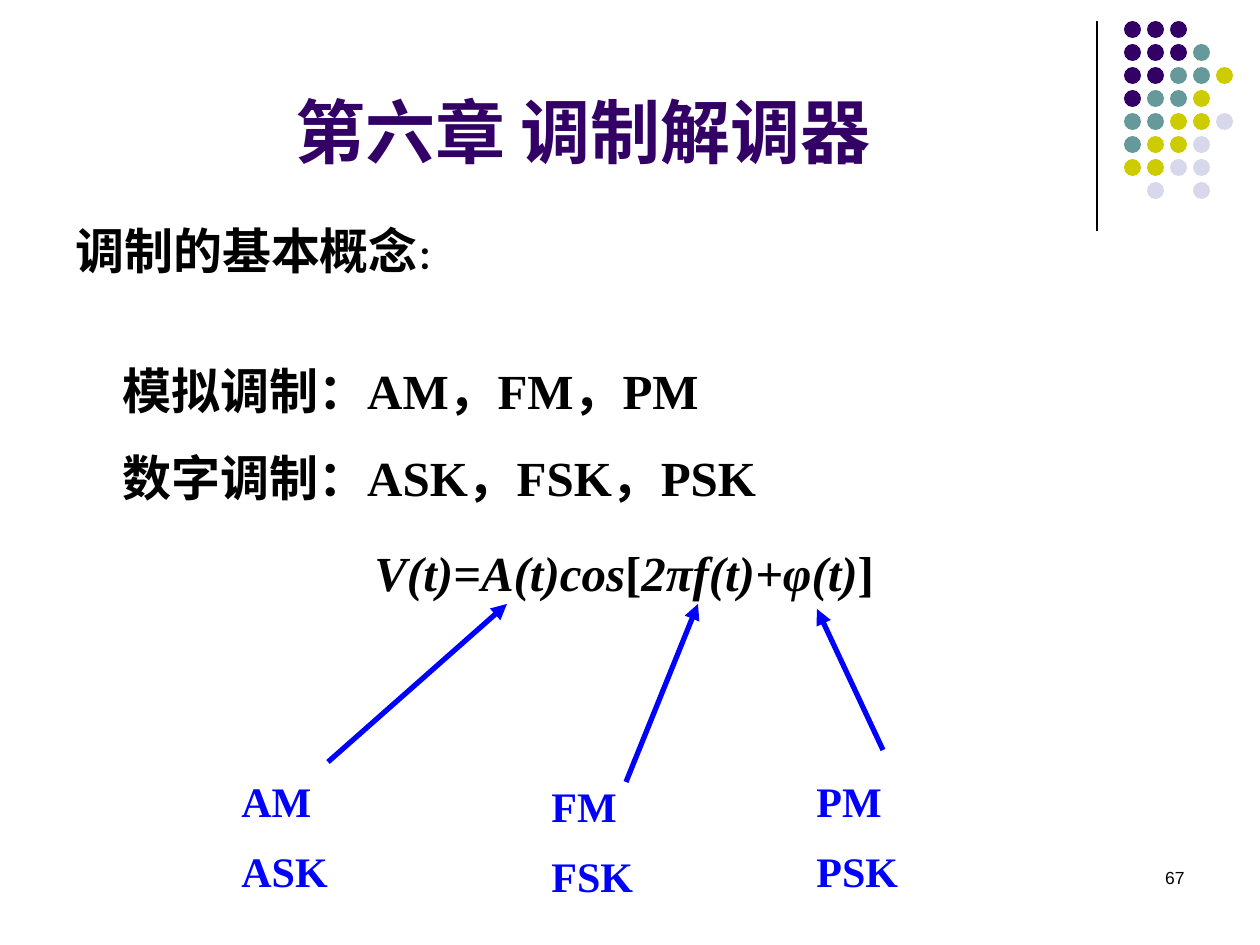
from lxml import etree
from pptx import Presentation
from pptx import util as u
from pptx.dml.color import RGBColor
from pptx.enum import shapes, text
from pptx.oxml.ns import qn

PX = u.Inches(1) / 126
CJK, SERIF, SANS = "Noto Sans CJK SC", "Times New Roman", "Arial"
PURPLE, TEAL, OLIVE, PALE = "330066", "669999", "CCCC00", "D8D8EC"
BLACK, BLUE = "000000", "0000FF"


def px(*lengths):
    return [round(n * PX) for n in lengths]


def rgb(value):
    return RGBColor.from_string(value)


def style_run(run, size, font, color=BLACK, bold=True, italic=False):
    run.font.size = u.Pt(size)
    run.font.name = font
    run.font.bold, run.font.italic = bold, italic
    run.font.color.rgb = rgb(color)
    east_asian = etree.SubElement(run.font._element, qn("a:ea"))
    east_asian.set("typeface", CJK)


def write(holder, paragraphs, align=text.PP_ALIGN.LEFT, spacing=None,
          anchor=text.MSO_ANCHOR.TOP, **style):
    """Each paragraph is a list of (wording, style changes) runs."""
    frame = holder.text_frame
    frame.word_wrap = True
    frame.auto_size = text.MSO_AUTO_SIZE.NONE
    frame.vertical_anchor = anchor
    for i, runs in enumerate(paragraphs):
        para = frame.paragraphs[0] if i == 0 else frame.add_paragraph()
        para.alignment = align
        para.space_before = u.Pt(0)
        if spacing:
            para.line_spacing = u.Pt(spacing)
        props = para._p.get_or_add_pPr()
        props.set("marL", "0")
        props.set("indent", "0")
        etree.SubElement(props, qn("a:buNone"))
        for wording, changes in runs:
            run = para.add_run()
            run.text = wording
            style_run(run, **{**style, **changes})


def place(holder, box):
    holder.left, holder.top, holder.width, holder.height = px(*box)


def add_line(slide, start, end, color, weight, arrow=False):
    line = slide.shapes.add_connector(
        shapes.MSO_CONNECTOR.STRAIGHT, *px(*start, *end))
    line.line.color.rgb = rgb(color)
    line.line.width = u.Pt(weight)
    if arrow:
        tail = etree.SubElement(line.line._get_or_add_ln(), qn("a:tailEnd"))
        tail.set("type", "triangle")
    etree.SubElement(line._element.spPr, qn("a:effectLst"))


def add_dots(slide, left, top, pitch=23, size=17):
    colors = {"P": PURPLE, "T": TEAL, "O": OLIVE, "L": PALE}
    rows = ["PPP", "PPPT", "PPTTO", "PTTO", "TTOOL", "TOOL", "OOLL", ".L.L"]
    for r, row in enumerate(rows):
        for c, key in enumerate(row):
            if key not in colors:
                continue
            dot = slide.shapes.add_shape(
                shapes.MSO_SHAPE.OVAL,
                *px(left + c * pitch, top + r * pitch, size, size))
            dot.shadow.inherit = False
            dot.fill.solid()
            dot.fill.fore_color.rgb = rgb(colors[key])
            dot.line.fill.background()


def add_corner(slide, left, top):
    add_line(slide, (left, top), (left, top + 210), BLACK, 0.75)
    add_dots(slide, left + 27, top)


def add_formula(slide, left, top):
    formula = slide.shapes.add_textbox(*px(left, top, 850, 72))
    upright = {"italic": False}
    write(formula, [[("V(t)=A(t)cos", {}), ("[", upright),
                     ("2πf(t)+φ(t)", {}), ("]", upright)]],
          size=28, font=SERIF, italic=True)


def add_method(slide, left, top, names, start, end):
    """Analog and digital name, with an arrow up to the formula term.

    The arrow's ends are relative to the label's corner.
    """
    label = slide.shapes.add_textbox(*px(left, top, 159, 154))
    write(label, [[(name, {})] for name in names],
          size=24, font=SERIF, color=BLUE, spacing=40)
    add_line(slide, (left + start[0], top + start[1]),
             (left + end[0], top + end[1]), BLUE, 3, arrow=True)


def main():
    deck = Presentation()
    deck.slide_width, deck.slide_height = px(1260, 945)
    slide = deck.slides.add_slide(deck.slide_layouts[1])
    title, methods = slide.placeholders

    add_corner(slide, 1097, 21)

    # Title
    place(title, (63, 0, 1040, 179))
    write(title, [[("第六章 调制解调器", {})]], size=40, font=CJK, color=PURPLE,
          align=text.PP_ALIGN.CENTER, anchor=text.MSO_ANCHOR.BOTTOM)

    # Heading and list of methods
    heading = slide.shapes.add_textbox(*px(63, 214, 706, 72))
    write(heading, [[("调制的基本概念", {}),
                     ("：", {"size": 18, "font": SERIF})]], size=28, font=CJK)
    place(methods, (110, 325, 833, 179))
    write(methods, [[("模拟调制：AM，FM，PM", {})],
                    [("数字调制：ASK，FSK，PSK", {})]],
          size=28, font=SERIF, spacing=50)

    # Formula and the term each method varies
    add_formula(slide, 362, 536)
    add_method(slide, 229, 750, ("AM", "ASK"), (99, 12), (278, -146))
    add_method(slide, 539, 755, ("FM", "FSK"), (87, 27), (159, -151))
    add_method(slide, 804, 750, ("PM", "PSK"), (79, 0), (13, -141))

    # Page number
    page = slide.shapes.add_textbox(*px(903, 861, 294, 63))
    write(page, [[("67", {})]], size=10, font=SANS, bold=False,
          align=text.PP_ALIGN.RIGHT)

    deck.save("out.pptx")


if __name__ == "__main__":
    main()
